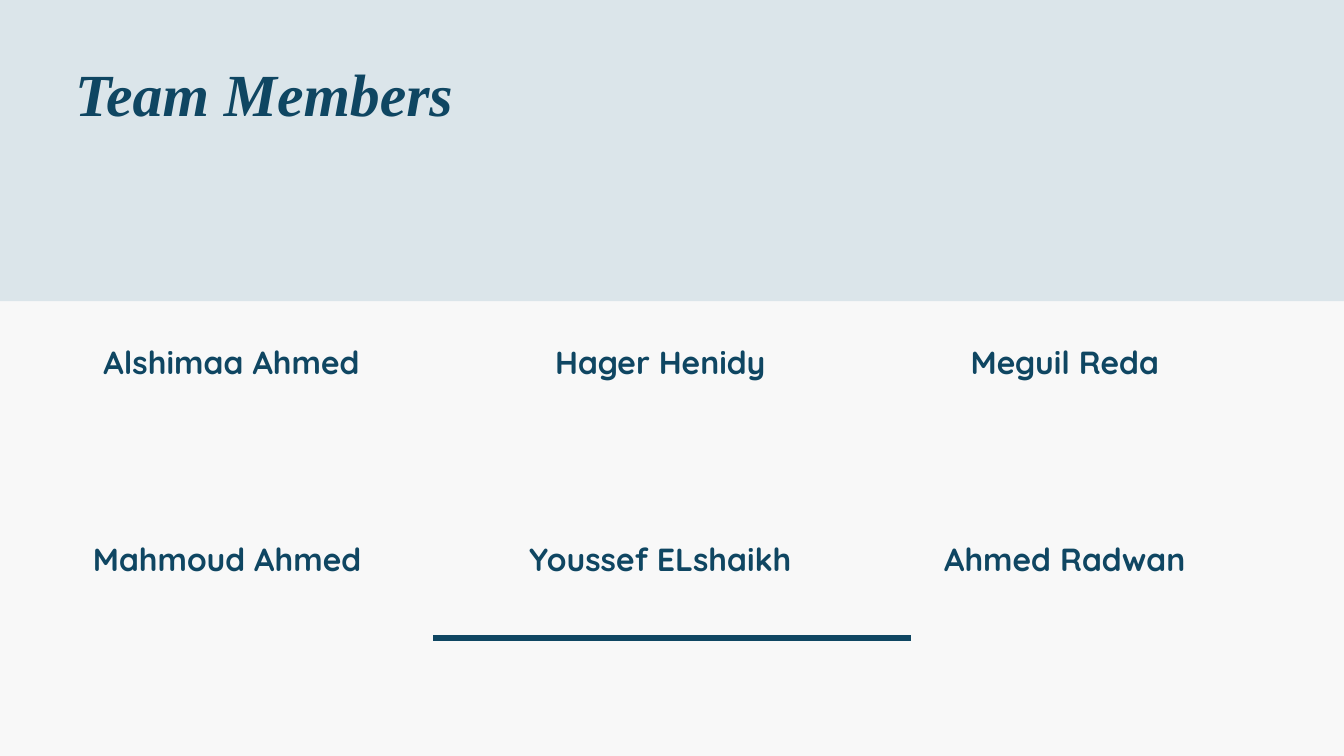
from pptx import Presentation
from pptx.dml.color import RGBColor
from pptx.enum.shapes import MSO_CONNECTOR, MSO_SHAPE
from pptx.enum.text import MSO_AUTO_SIZE, PP_ALIGN
from pptx.oxml.ns import qn
from pptx.util import Inches, Pt
from lxml.etree import SubElement

NAVY = "0F4662"
BAND_BLUE = "DBE5EA"
BACKGROUND = "F8F8F8"

COLUMN_LEFTS = [0.7, 7.08, 13.1]
ROW_TOPS = [5, 7.94]
MEMBERS = [
    ["Alshimaa Ahmed", "Hager Henidy", "Meguil Reda"],
    ["Mahmoud Ahmed ", "Youssef ELshaikh", "Ahmed Radwan"],
]


def color(hex_value):
    return RGBColor.from_string(hex_value)


def add_band(slide, left, top, width, height):
    shape = slide.shapes.add_shape(
        MSO_SHAPE.RECTANGLE, Inches(left), Inches(top), Inches(width), Inches(height)
    )
    shape.shadow.inherit = False
    shape.fill.solid()
    shape.fill.fore_color.rgb = color(BAND_BLUE)
    shape.line.fill.background()


def add_text(slide, text, left, top, width, height, font_name, size, line_spacing,
             alignment=PP_ALIGN.LEFT, italic=False):
    shape = slide.shapes.add_textbox(
        Inches(left), Inches(top), Inches(width), Inches(height)
    )
    frame = shape.text_frame
    frame.word_wrap = True
    frame.auto_size = MSO_AUTO_SIZE.SHAPE_TO_FIT_TEXT
    frame.margin_left = frame.margin_right = 0
    frame.margin_top = frame.margin_bottom = 0
    paragraph = frame.paragraphs[0]
    paragraph.text = text
    paragraph.alignment = alignment
    paragraph.line_spacing = Pt(line_spacing)
    font = paragraph.font
    font.name = font_name
    font.size = Pt(size)
    font.bold = True
    font.italic = italic
    font.color.rgb = color(NAVY)


def add_rule(slide, start, end, y, weight):
    connector = slide.shapes.add_connector(
        MSO_CONNECTOR.STRAIGHT, Inches(start), Inches(y), Inches(end), Inches(y)
    )
    connector.line.color.rgb = color(NAVY)
    connector.line.width = Pt(weight)
    SubElement(connector._element.spPr, qn("a:effectLst"))


def add_members(slide):
    for top, names in zip(ROW_TOPS, MEMBERS):
        for left, name in zip(COLUMN_LEFTS, names):
            add_text(slide, name, left, top, 5.49, 0.62, "Quicksand", 34.2, 47.9,
                     alignment=PP_ALIGN.CENTER)


def main():
    presentation = Presentation()
    presentation.slide_width = Inches(20)
    presentation.slide_height = Inches(11.25)
    slide = presentation.slides.add_slide(presentation.slide_layouts[6])
    slide.background.fill.solid()
    slide.background.fill.fore_color.rgb = color(BACKGROUND)

    add_band(slide, 0, 0, 20, 4.48)
    add_text(slide, "Team Members", 1.12, 0.66, 10.84, 1.19, "Times New Roman", 64, 89.6,
             italic=True)
    add_members(slide)
    add_rule(slide, 6.45, 13.55, 9.49, 6)

    presentation.save("out.pptx")


if __name__ == "__main__":
    main()
